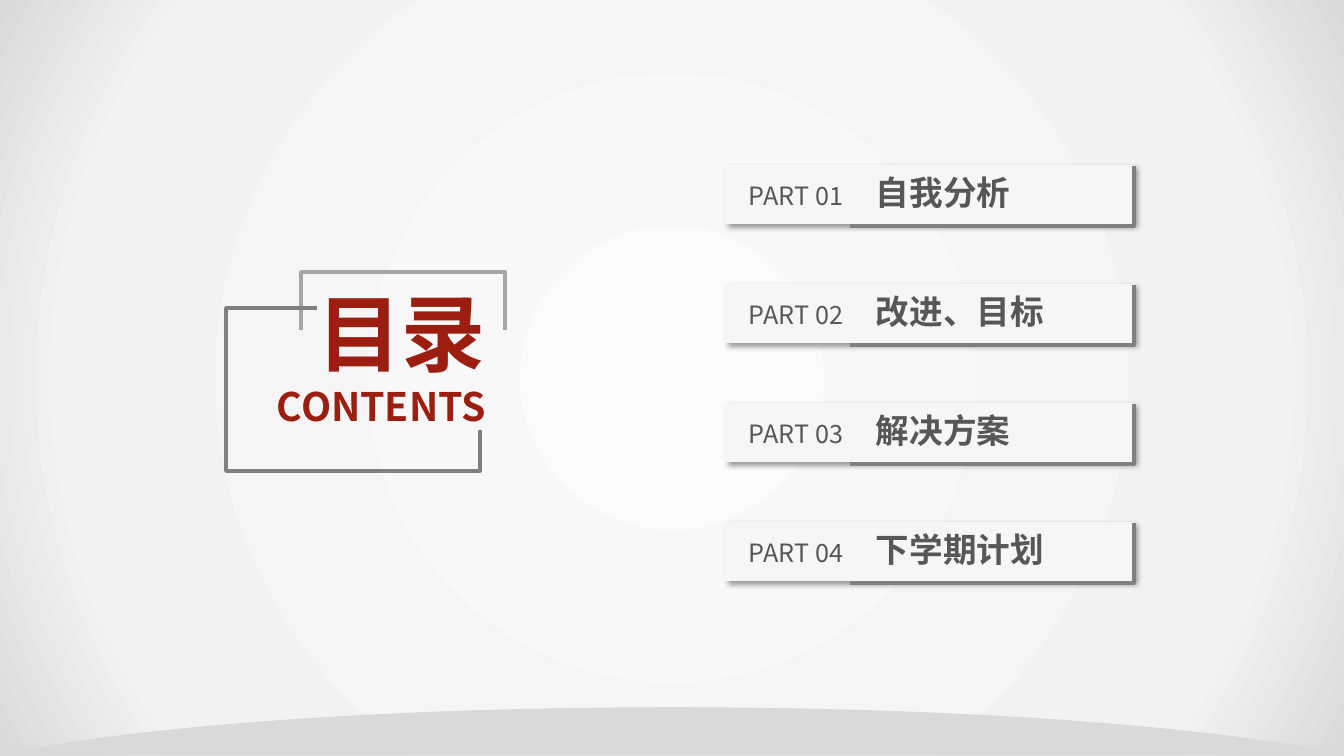
from dataclasses import dataclass

from lxml.etree import SubElement
from pptx import Presentation
from pptx.dml.color import RGBColor
from pptx.enum.shapes import MSO_SHAPE
from pptx.enum.text import MSO_ANCHOR, MSO_AUTO_SIZE, PP_ALIGN
from pptx.oxml import parse_xml
from pptx.oxml.ns import qn
from pptx.util import Emu, Pt

HEADING = [("目录", 60), ("CONTENTS", 28)]
PARTS = [
    ("PART 01", "自我分析"),
    ("PART 02", "改进、目标"),
    ("PART 03", "解决方案"),
    ("PART 04", "下学期计划"),
]

# All lengths below are pixels
WIDTH, HEIGHT = 1344, 756
HEADING_BOX = (144, 276, 352, 159)
UPPER_BRACKET = [(301, 330), (301, 272), (505, 272), (505, 330)]
LOWER_BRACKET = [(480, 430), (480, 471), (226, 471), (226, 308), (317, 308)]
CARD_LEFT, CARD_TOP, CARD_WIDTH, CARD_HEIGHT = 725, 165, 409, 59
CARD_PITCH = 119
EDGE_START = 850
NAME_TAB = 127
HILL_CURVE = [(673, 708), (955, 708), (1203, 726), (1339, 754)]
HILL_STEPS = 40


@dataclass(frozen=True)
class Theme:
    """Colours, font and type sizes of the slide."""
    font: str = "Noto Sans CJK SC"
    accent: str = "9B1E11"
    text: str = "575757"
    card: str = "F6F6F6"
    hill: str = "D9D9D9"
    light_line: str = "A6A6A6"
    dark_line: str = "808080"
    backdrop: tuple = ((0, "FBFBFB"), (79, "F2F2F2"), (100, "D9D9D9"))
    number_size: int = 18
    name_size: int = 24
    line_width: float = 2.5


THEME = Theme()
NAMESPACE = 'xmlns:a="http://schemas.openxmlformats.org/drawingml/2006/main"'


def px(length):
    """Turn pixels into EMU."""
    return Emu(round(length * 12192000 / WIDTH))


def add_rectangle(slide, box, color):
    """Add a plain filled rectangle without outline or shadow."""
    shape = slide.shapes.add_shape(MSO_SHAPE.RECTANGLE, *map(px, box))
    shape.shadow.inherit = False
    shape.fill.solid()
    shape.fill.fore_color.rgb = RGBColor.from_string(color)
    shape.line.fill.background()
    return shape


def add_outline(slide, points, color, width=THEME.line_width, filled=False):
    """Add an open line, or a closed area, through the points."""
    corners = [(px(x), px(y)) for x, y in points]
    builder = slide.shapes.build_freeform(*corners[0])
    builder.add_line_segments(corners[1:], close=filled)
    shape = builder.convert_to_shape()
    shape.shadow.inherit = False
    shape.line.color.rgb = RGBColor.from_string(color)
    shape.line.width = Pt(width)
    if filled:
        shape.fill.solid()
        shape.fill.fore_color.rgb = RGBColor.from_string(color)
    else:
        shape.fill.background()


def add_run(paragraph, text, size, color, bold=False):
    """Add one run with its font for Latin and East Asian text."""
    run = paragraph.add_run()
    run.text = text
    run.font.size = Pt(size)
    run.font.bold = bold
    run.font.color.rgb = RGBColor.from_string(color)
    run.font.name = THEME.font
    SubElement(run.font._element, qn("a:ea"), typeface=THEME.font)


def add_backdrop(slide):
    """Cover the slide with a circular gradient."""
    shape = add_rectangle(slide, (0, 0, WIDTH, HEIGHT), THEME.card)
    stops = "".join(
        f'<a:gs pos="{position * 1000}"><a:srgbClr val="{color}"/></a:gs>'
        for position, color in THEME.backdrop)
    gradient = parse_xml(
        f'<a:gradFill {NAMESPACE} rotWithShape="1"><a:gsLst>{stops}</a:gsLst>'
        '<a:path path="circle"><a:fillToRect l="50000" t="50000" '
        'r="50000" b="50000"/></a:path></a:gradFill>')
    properties = shape.element.spPr
    properties.replace(properties.find(qn("a:solidFill")), gradient)


def add_hill(slide):
    """Draw the hill along the bottom, mirrored about its crest."""
    right = []
    for step in range(HILL_STEPS + 1):
        t = step / HILL_STEPS
        weights = ((1 - t) ** 3, 3 * t * (1 - t) ** 2, 3 * t * t * (1 - t), t ** 3)
        right.append(tuple(
            sum(weight * point[axis] for weight, point in zip(weights, HILL_CURVE))
            for axis in (0, 1)))
    right.append((WIDTH + 2, HEIGHT - 1))
    crest = HILL_CURVE[0][0]
    left = [(2 * crest - x, y) for x, y in reversed(right[1:])]
    add_outline(slide, left + right, THEME.hill, width=1, filled=True)


def add_heading(slide):
    """Fill the title placeholder and bring it to the front."""
    title = slide.shapes.title
    title.left, title.top, title.width, title.height = map(px, HEADING_BOX)
    frame = title.text_frame
    frame.word_wrap = True
    frame.auto_size = MSO_AUTO_SIZE.SHAPE_TO_FIT_TEXT
    frame.vertical_anchor = MSO_ANCHOR.TOP
    for index, (text, size) in enumerate(HEADING):
        paragraph = frame.add_paragraph() if index else frame.paragraphs[0]
        paragraph.alignment = PP_ALIGN.RIGHT
        add_run(paragraph, text, size, THEME.accent, bold=True)
    title.element.getparent().append(title.element)


def add_card(slide, top, number, name):
    """Add one shadowed card with its label and dark edge."""
    card = add_rectangle(slide, (CARD_LEFT, top, CARD_WIDTH, CARD_HEIGHT), THEME.card)
    effects = card.element.spPr.find(qn("a:effectLst"))
    effects.append(parse_xml(
        f'<a:outerShdw {NAMESPACE} blurRad="50800" dist="38100" dir="2700000" '
        'algn="tl" rotWithShape="0"><a:srgbClr val="000000">'
        '<a:alpha val="40000"/></a:srgbClr></a:outerShdw>'))

    label = slide.shapes.add_textbox(*map(px, (CARD_LEFT + 14, top + 2, 394, 50)))
    frame = label.text_frame
    frame.word_wrap = True
    frame.auto_size = MSO_AUTO_SIZE.SHAPE_TO_FIT_TEXT
    paragraph = frame.paragraphs[0]
    add_run(paragraph, number + "\t", THEME.number_size, THEME.text)
    add_run(paragraph, name, THEME.name_size, THEME.text, bold=True)
    tabs = SubElement(paragraph._p.get_or_add_pPr(), qn("a:tabLst"))
    SubElement(tabs, qn("a:tab"), pos=str(px(NAME_TAB)), algn="l")

    right, bottom = CARD_LEFT + CARD_WIDTH, top + CARD_HEIGHT + 2
    edge = [(right, top + 1), (right, bottom), (EDGE_START, bottom)]
    add_outline(slide, edge, THEME.dark_line)


presentation = Presentation()
presentation.slide_width, presentation.slide_height = px(WIDTH), px(HEIGHT)
slide = presentation.slides.add_slide(presentation.slide_layouts[5])
add_backdrop(slide)
add_hill(slide)
add_heading(slide)
add_outline(slide, UPPER_BRACKET, THEME.light_line)
add_outline(slide, LOWER_BRACKET, THEME.dark_line)
for row, (number, name) in enumerate(PARTS):
    add_card(slide, CARD_TOP + row * CARD_PITCH, number, name)
presentation.save("out.pptx")
